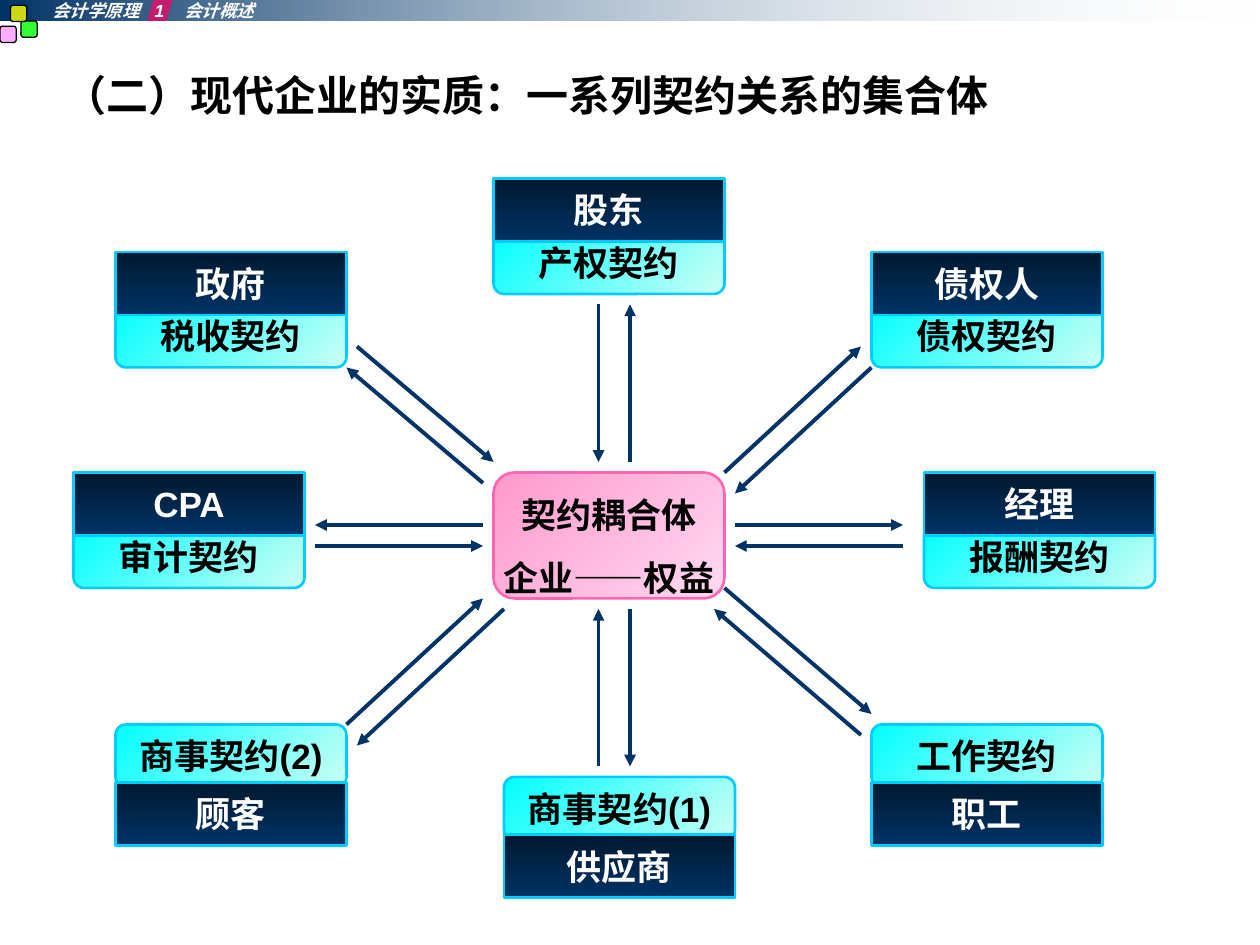
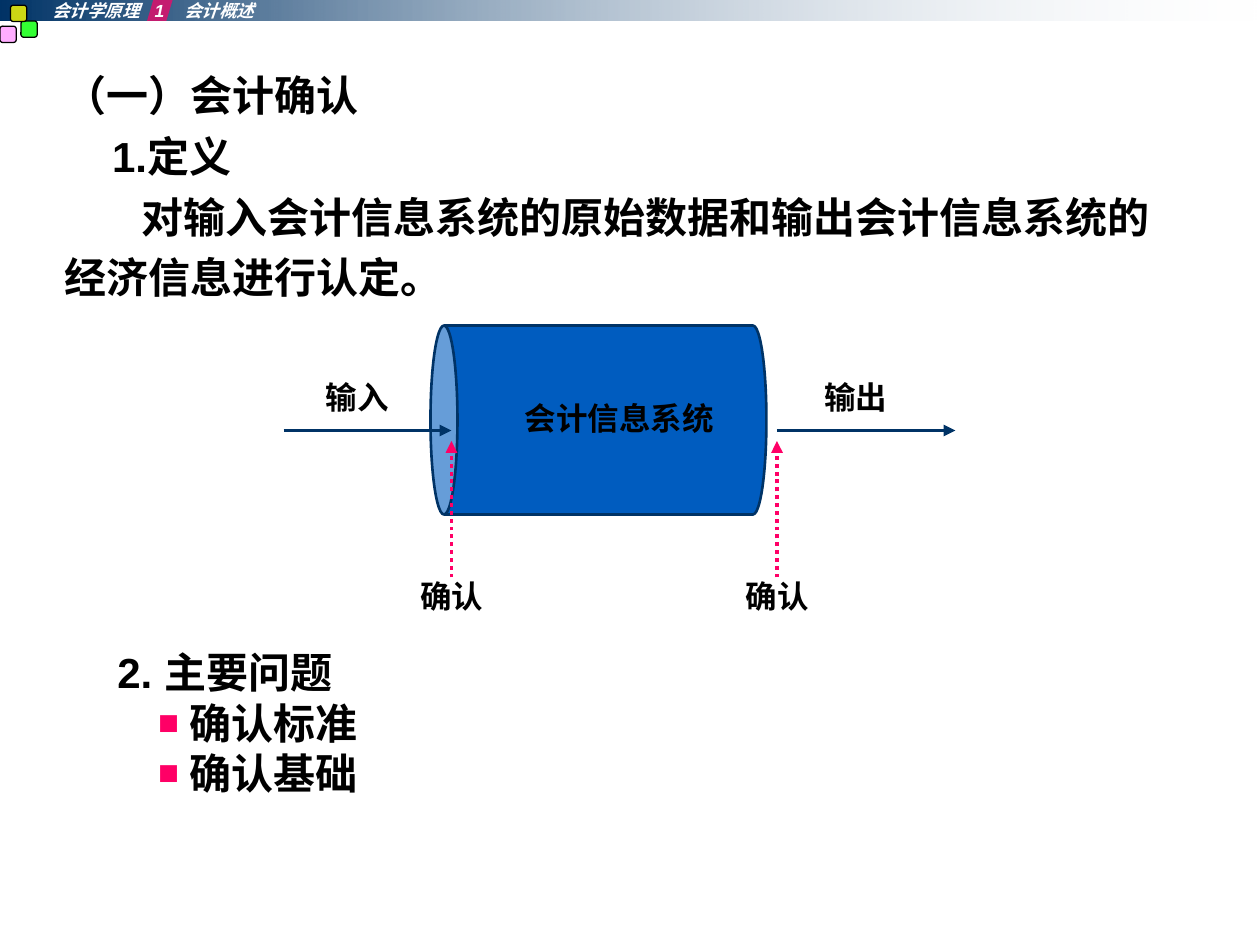
from dataclasses import dataclass

from pptx import Presentation
from pptx import util as u
from pptx.dml.color import RGBColor
from pptx.enum import dml, shapes, text
from pptx.oxml import parse_xml
from pptx.oxml.ns import nsdecls, qn


@dataclass(frozen=True)
class Theme:
    navy: str = "003366"
    dark_navy: str = "00182F"
    bar_end: str = "E7ECF1"
    pink: str = "FF0066"
    black: str = "000000"
    white: str = "FFFFFF"
    edge: str = "00CCFF"
    blue: str = "005CBF"
    contract: tuple = ("00FFFF", "CDFFF5")
    core: tuple = ("FF99CC", "FFD9F2")
    core_edge: str = "FF65B2"
    font: str = "Arial"
    label_font: str = "DejaVu Sans"
    body_size: int = 24
    box_size: int = 20
    label_size: int = 18
    header_size: int = 10


THEME = Theme()
BOX_WIDTH, BOX_HEIGHT = 22, 6

# Each party: name, contract, left, top, whether the contract lies above the name
PARTIES = [
    ("股东", "产权契约", 47, 17, False),
    ("债权人", "债权契约", 83, 24, False),
    ("经理", "报酬契约", 88, 45, False),
    ("供应商", "商事契约(1)", 48, 74, True),
    ("顾客", "商事契约(2)", 11, 69, True),
    ("CPA", "审计契约", 7, 45, False),
    ("政府", "税收契约", 11, 24, False),
    ("职工", "工作契约", 83, 69, True),
]

# Each flow: start x, start y, end x, end y
FLOWS = [
    (60, 44, 60, 29), (57, 29, 57, 44),
    (57, 73, 57, 58), (60, 58, 60, 73),
    (70, 50, 86, 50), (86, 52, 70, 52),
    (30, 52, 46, 52), (46, 50, 30, 50),
    (69, 45, 82, 33), (83, 35, 70, 47),
    (46, 46, 33, 35), (34, 33, 47, 44),
    (33, 69, 46, 57), (48, 58, 34, 71),
    (82, 70, 68, 58), (69, 56, 83, 68),
]


def grid(steps):
    """Length of a number of grid steps, twelve to the inch."""
    return u.Cm(steps * 2.54 / 12)


def rgb(color):
    return RGBColor.from_string(color)


def element(markup):
    """Drawing element from a tag with its attributes and content."""
    tag, _, rest = markup.partition(" ")
    return parse_xml(f"<{tag} {nsdecls('a')} {rest}")


# Fills and text
def fill_gradient(shape, colors, angle):
    shape.fill.gradient()
    shape.fill.gradient_angle = -angle % 360
    for stop, color in zip(shape.fill.gradient_stops, colors):
        stop.color.rgb = rgb(color)


def set_opacity(shape, percent, index=0):
    colors = list(shape._element.spPr.iter(qn("a:srgbClr")))
    colors[index].append(element(f'a:alpha val="{percent * 1000}"/>'))


def style(paragraph, size, color=THEME.black, font=THEME.font, italic=False):
    for run in paragraph.runs:
        run.font.name = font
        run.font.size = u.Pt(size)
        run.font.bold = True
        run.font.italic = italic
        run.font.color.rgb = rgb(color)


def indent(paragraph, left, first=0):
    properties = paragraph._p.get_or_add_pPr()
    properties.set("marL", str(u.Cm(left)))
    properties.set("indent", str(u.Cm(first)))
    return properties


def add_bullet(paragraph):
    properties = indent(paragraph, 1.46, -0.64)
    for markup in (
        f'a:buClr ><a:srgbClr val="{THEME.pink}"/></a:buClr>',
        'a:buSzPct val="83000"/>',
        f'a:buFont typeface="{THEME.font}"/>',
        'a:buChar char="■"/>',
    ):
        properties.append(element(markup))


def add_tabs(paragraph, *positions):
    stops = "".join(f'<a:tab pos="{u.Cm(p)}" algn="l"/>' for p in positions)
    paragraph._p.get_or_add_pPr().append(
        element(f"a:tabLst >{stops}</a:tabLst>"))


# Elements
def add_box(slide, kind, left, top, width, height, edge=None, weight=1.5):
    shape = slide.shapes.add_shape(
        kind, grid(left), grid(top), grid(width), grid(height))
    shape.shadow.inherit = False
    if edge:
        shape.line.color.rgb = rgb(edge)
        shape.line.width = u.Pt(weight)
    else:
        shape.line.fill.background()
    return shape


def add_gradient_box(slide, lines, left, top, height, colors, angle, edge,
                     color=THEME.black, corner=0.167, spacing=None):
    shape = add_box(slide, shapes.MSO_SHAPE.ROUNDED_RECTANGLE,
                    left, top, BOX_WIDTH, height, edge)
    shape.adjustments[0] = corner
    fill_gradient(shape, colors, angle)
    frame = shape.text_frame
    frame.text = lines
    frame.word_wrap = False
    frame.vertical_anchor = text.MSO_ANCHOR.MIDDLE
    for paragraph in frame.paragraphs:
        paragraph.alignment = text.PP_ALIGN.CENTER
        paragraph.line_spacing = spacing
        style(paragraph, THEME.box_size, color)


def add_text(slide, lines, left, top, width, height, inset=True):
    box = slide.shapes.add_textbox(
        grid(left), grid(top), grid(width), grid(height))
    frame = box.text_frame
    frame.word_wrap = True
    if not inset:
        frame.margin_left = frame.margin_right = 0
        frame.margin_top = frame.margin_bottom = 0
    frame.text = lines
    return frame.paragraphs


def add_label(slide, words, left, top, width, font=THEME.label_font):
    paragraph = add_text(slide, words, left, top, width, 3.6, inset=False)[0]
    paragraph.alignment = text.PP_ALIGN.CENTER
    style(paragraph, THEME.label_size, font=font)


def add_arrow(slide, points, color=THEME.navy, dotted=False):
    arrow = slide.shapes.add_connector(
        shapes.MSO_CONNECTOR.STRAIGHT, *(grid(point) for point in points))
    arrow.line.color.rgb = rgb(color)
    arrow.line.width = u.Pt(2.25)
    if dotted:
        arrow.line.dash_style = dml.MSO_LINE.ROUND_DOT
    properties = arrow._element.spPr
    properties.find(qn("a:ln")).append(element('a:tailEnd type="triangle"/>'))
    properties.append(element("a:effectLst />"))


def add_header(slide):
    """Top band, coloured squares and course title."""
    bar = add_box(slide, shapes.MSO_SHAPE.RECTANGLE, 0, 0, 120, 2)
    fill_gradient(bar, (THEME.navy, THEME.bar_end), 0)
    set_opacity(bar, 0, index=1)
    squares = [(0, 2.5, "FF99FF"), (2, 2, "00FF00"), (1, 0.5, "FFFF00")]
    for left, top, color in squares:
        square = add_box(slide, shapes.MSO_SHAPE.ROUNDED_RECTANGLE,
                         left, top, 1.55, 1.55, THEME.black, 0.75)
        square.fill.solid()
        square.fill.fore_color.rgb = rgb(color)
        set_opacity(square, 80)
    marker = add_box(slide, shapes.MSO_SHAPE.PARALLELOGRAM, 14, -0.2, 2.5, 2.2)
    marker.adjustments[0] = 0.3
    marker.fill.solid()
    marker.fill.fore_color.rgb = rgb(THEME.pink)
    set_opacity(marker, 70)
    title = add_text(slide, "会计学原理\t1\t会计概述", 5, 0, 25.4, 2, inset=False)[0]
    add_tabs(title, 2.06, 2.66)
    style(title, THEME.header_size, THEME.white, italic=True)


def add_body(slide, lines, indents):
    """Heading and running text; each indent is (left, first line)."""
    paragraphs = add_text(slide, lines, 5, 6, 110, 79)
    for number, (paragraph, margins) in enumerate(zip(paragraphs, indents)):
        indent(paragraph, *margins)
        if number:
            paragraph.space_before = u.Pt(6)
        style(paragraph, THEME.body_size)


def add_party(slide, name, contract, left, top, contract_above):
    contract_top, name_top = (top, top + 5.5) if contract_above else (top + 5, top)
    add_gradient_box(slide, contract, left, contract_top, BOX_HEIGHT,
                     THEME.contract, 45, THEME.edge)
    add_gradient_box(slide, name, left, name_top, BOX_HEIGHT,
                     (THEME.dark_navy, THEME.navy), 90, THEME.edge,
                     color=THEME.white, corner=0)


# Slides
def build_contracts(slide):
    add_header(slide)
    add_body(slide, "（二）现代企业的实质：一系列契约关系的集合体", [(0.95, -0.95)])
    add_gradient_box(slide, "契约耦合体\n企业——权益", 47, 45, 12,
                     THEME.core, 45, THEME.core_edge, spacing=1.5)
    for party in PARTIES:
        add_party(slide, *party)
    for flow in FLOWS:
        add_arrow(slide, flow)


def build_recognition(slide):
    add_header(slide)
    add_body(
        slide,
        "（一）会计确认\n1.定义\n"
        "对输入会计信息系统的原始数据和输出会计信息系统的\n经济信息进行认定。",
        [(0.95, -0.95), (0.95, 0), (0, 1.55), (0, 0)])

    # Main questions
    heading, *questions = add_text(
        slide, "2. 主要问题\n确认标准\n确认基础", 10, 61, 28, 15.6)
    style(heading, THEME.body_size)
    for question in questions:
        add_bullet(question)
        style(question, THEME.body_size)

    # Information system with its input and output
    system = add_box(slide, shapes.MSO_SHAPE.CAN, 48, 24, 18, 32, THEME.navy)
    system.rotation = 270
    system.adjustments[0] = 0.143
    system.fill.solid()
    system.fill.fore_color.rgb = rgb(THEME.blue)
    add_label(slide, "会计信息系统", 49.5, 38, 19, THEME.font)
    add_arrow(slide, (27, 41, 43, 41))
    add_arrow(slide, (74, 41, 91, 41))
    add_label(slide, "输入", 30, 36, 8)
    add_label(slide, "输出", 78, 36, 7)

    # Points of recognition
    for x in (43, 74):
        add_arrow(slide, (x, 55, x, 42), THEME.pink, dotted=True)
        add_label(slide, "确认", x - 4, 55, 8)


def main():
    presentation = Presentation()
    presentation.slide_width = u.Cm(25.4)
    presentation.slide_height = u.Cm(19.05)
    blank = presentation.slide_layouts[6]
    for build in (build_contracts, build_recognition):
        build(presentation.slides.add_slide(blank))
    presentation.save("out.pptx")


if __name__ == "__main__":
    main()
